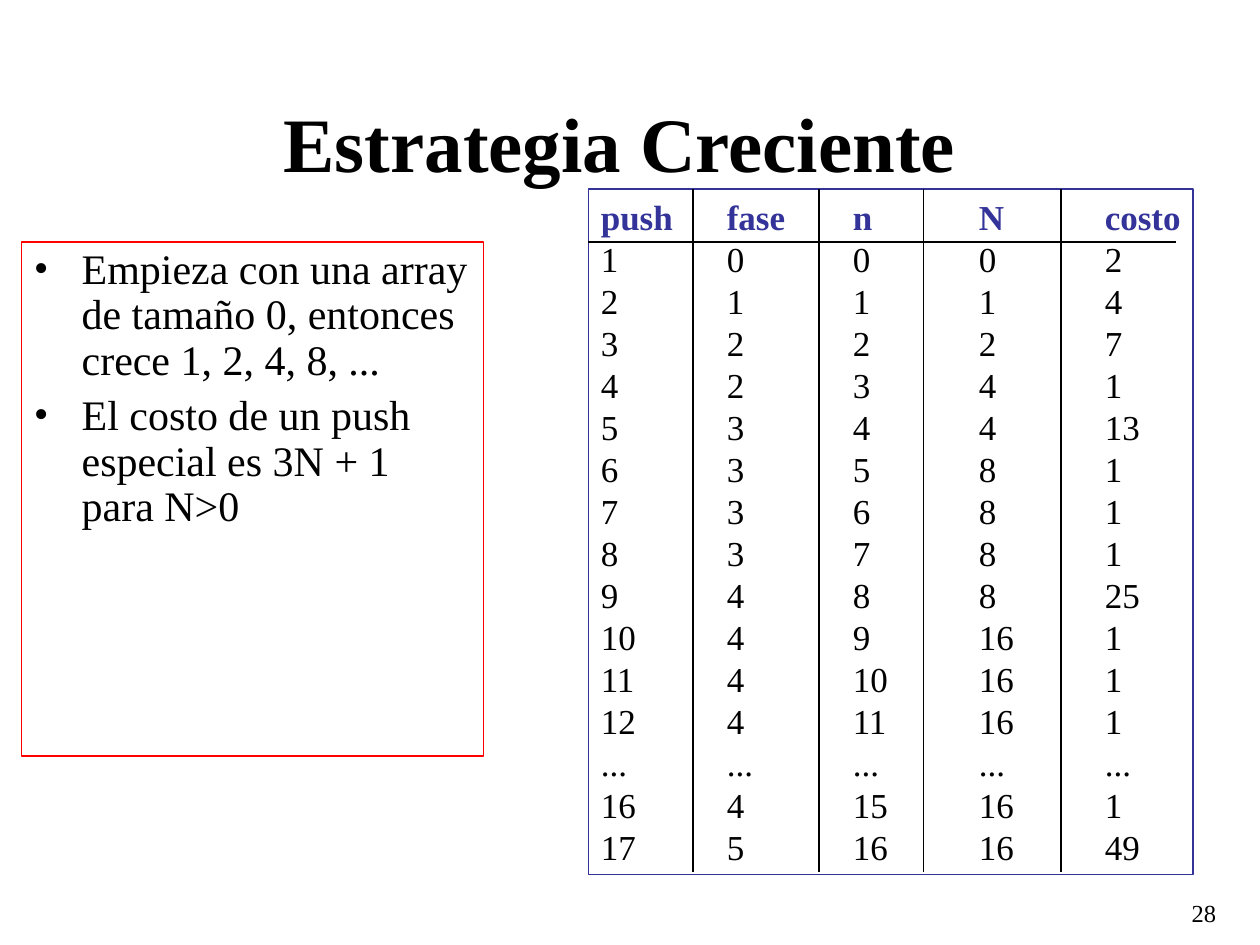
from lxml import etree
from pptx import Presentation
from pptx.dml.color import RGBColor
from pptx.enum.shapes import MSO_CONNECTOR
from pptx.enum.text import MSO_ANCHOR, PP_ALIGN
from pptx.oxml.ns import qn
from pptx.util import Inches, Pt

LEFT, CENTER, RIGHT = PP_ALIGN.LEFT, PP_ALIGN.CENTER, PP_ALIGN.RIGHT
TOP, MIDDLE = MSO_ANCHOR.TOP, MSO_ANCHOR.MIDDLE
STRAIGHT = MSO_CONNECTOR.STRAIGHT
FONT = "Times New Roman"
BLACK, RED, INDIGO = "000000", "FF0000", "333399"


def color(hex_value):
    return RGBColor.from_string(hex_value)


def add_text(lines, left, top, width, height, size, align=LEFT, anchor=TOP,
             bold=False, border=None, wrap=True):
    """Add a text box with one paragraph per line and return its paragraphs."""
    box = slide.shapes.add_textbox(Inches(left), Inches(top), Inches(width), Inches(height))
    if border:
        box.line.color.rgb = color(border)
        box.line.width = Pt(0.75)
    frame = box.text_frame
    frame.word_wrap = wrap
    frame.vertical_anchor = anchor
    frame.text = "\n".join(lines)
    for paragraph in frame.paragraphs:
        paragraph.alignment = align
        font = paragraph.runs[0].font
        font.name, font.size, font.bold = FONT, Pt(size), bold
        font.color.rgb = color(BLACK)
    return frame.paragraphs


prs = Presentation()
prs.slide_width, prs.slide_height = Inches(10), Inches(7.5)
slide = prs.slides.add_slide(prs.slide_layouts[6])

add_text(["Estrategia Creciente"], 0.67, 0.5, 8.5, 1.25, 44,
         align=CENTER, anchor=MIDDLE, bold=True)

# Bulleted explanation
points = add_text(
    ["Empieza con una array de tamaño 0, entonces crece 1, 2, 4, 8, ...",
     "El costo de un push especial es 3N + 1 para N>0"],
    0.17, 1.92, 3.67, 4.08, 24, border=RED)
for point in points:
    point.line_spacing = 0.9
    point.space_before = Pt(6)
    properties = point._p.get_or_add_pPr()
    properties.set("marL", str(Inches(0.38)))
    properties.set("indent", str(Inches(-0.38)))
    etree.SubElement(properties, qn("a:buFont"), typeface=FONT)
    etree.SubElement(properties, qn("a:buChar"), char="•")

# Cost of each push, in columns set by tab stops one inch apart
costs = [
    ("push", "fase", "n", "N", "costo"),
    (1, 0, 0, 0, 2),
    (2, 1, 1, 1, 4),
    (3, 2, 2, 2, 7),
    (4, 2, 3, 4, 1),
    (5, 3, 4, 4, 13),
    (6, 3, 5, 8, 1),
    (7, 3, 6, 8, 1),
    (8, 3, 7, 8, 1),
    (9, 4, 8, 8, 25),
    (10, 4, 9, 16, 1),
    (11, 4, 10, 16, 1),
    (12, 4, 11, 16, 1),
    ("...",) * 5,
    (16, 4, 15, 16, 1),
    (17, 5, 16, 16, 49),
]
cost_rows = add_text(["\t".join(map(str, row)) for row in costs],
                     4.67, 1.5, 4.8, 5.44, 20, border=INDIGO, wrap=False)
for row in cost_rows:
    tab_stops = etree.SubElement(row._p.get_or_add_pPr(), qn("a:tabLst"))
    for column in range(1, len(costs[0])):
        etree.SubElement(tab_stops, qn("a:tab"), pos=str(Inches(column)), algn="l")
header_font = cost_rows[0].runs[0].font
header_font.bold = True
header_font.color.rgb = color(INDIGO)

# Rules: one below the header, the others between columns
rules = [(4.67, 1.92, 9.33, 1.92)]
rules += [(x, 1.5, x, 6.92) for x in (5.5, 6.5, 7.33, 8.42)]
for ends in rules:
    rule = slide.shapes.add_connector(STRAIGHT, *map(Inches, ends))
    rule.line.color.rgb = color(BLACK)
    rule.line.width = Pt(0.75)
    etree.SubElement(rule._element.spPr, qn("a:effectLst"))

add_text(["28"], 7.67, 7.08, 2.08, 0.5, 14, align=RIGHT)

prs.save("out.pptx")
